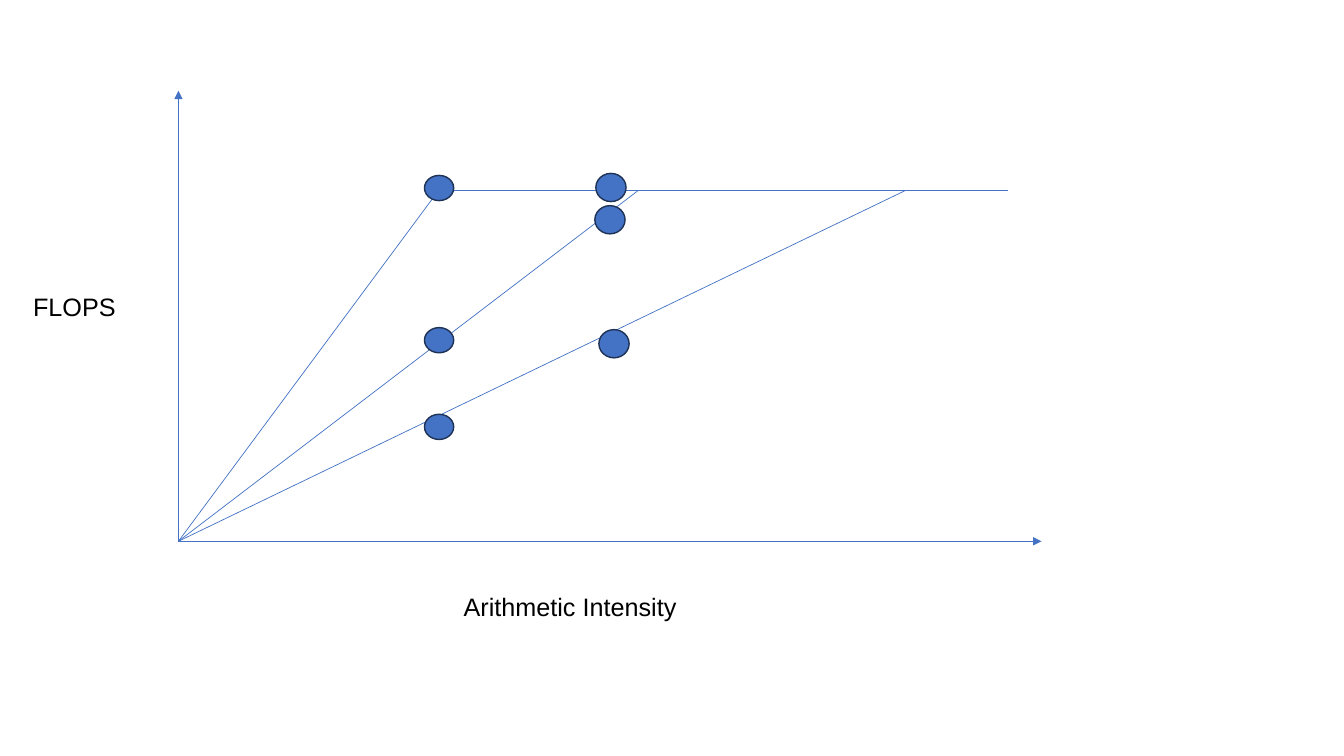
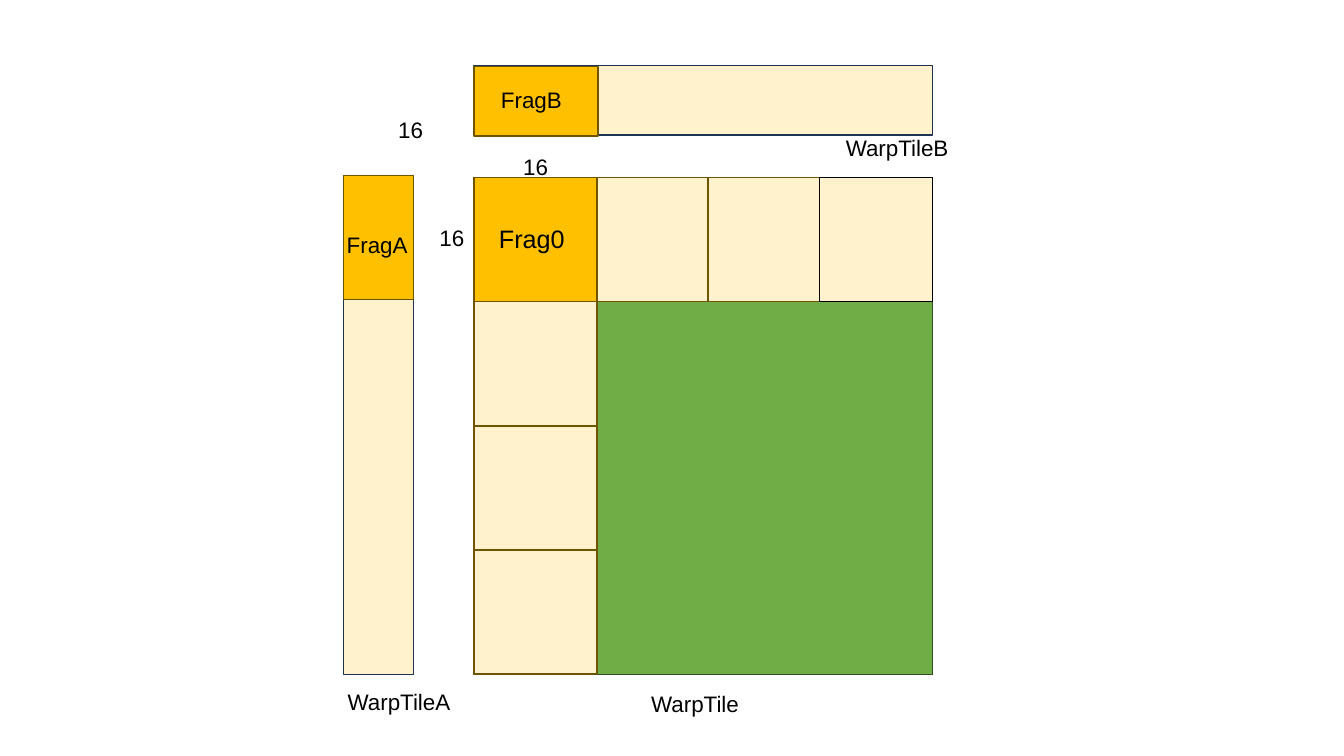
from dataclasses import dataclass

from pptx import Presentation
from pptx.dml.color import RGBColor
from pptx.enum.shapes import MSO_CONNECTOR as Connector, MSO_SHAPE as Preset
from pptx.enum.text import MSO_AUTO_SIZE as AutoSize
from pptx.oxml.ns import qn
from pptx.util import Inches, Pt
from lxml.etree import SubElement


@dataclass(frozen=True)
class Theme:
    font: str = "Arial"
    text: str = "000000"
    blue: str = "4472C4"
    navy: str = "1E3256"
    green: str = "70AD47"
    dark_green: str = "314C1F"
    amber: str = "FFC000"
    cream: str = "FFF2CC"
    brown: str = "705400"
    large: int = 18
    small: int = 16
    thin: float = 0.5
    outline: float = 1


theme = Theme()


def add_label(page, text, left, top, width, height, size=theme.small):
    box = page.shapes.add_textbox(Inches(left), Inches(top), Inches(width), Inches(height))
    frame = box.text_frame
    frame.word_wrap = True
    frame.auto_size = AutoSize.SHAPE_TO_FIT_TEXT
    span = frame.paragraphs[0].add_run()
    span.text = text
    span.font.name = theme.font
    span.font.size = Pt(size)
    span.font.color.rgb = RGBColor.from_string(theme.text)


def add_block(page, left, top, width, height, fill, line, preset=Preset.RECTANGLE):
    block = page.shapes.add_shape(preset, Inches(left), Inches(top), Inches(width), Inches(height))
    block.shadow.inherit = False
    block.fill.solid()
    block.fill.fore_color.rgb = RGBColor.from_string(fill)
    block.line.color.rgb = RGBColor.from_string(line)
    block.line.width = Pt(theme.outline)


deck = Presentation()
deck.slide_width, deck.slide_height = Inches(13.33), Inches(7.5)
blank = deck.slide_layouts[6]

roofline = deck.slides.add_slide(blank)
origin_x, origin_y, roof_y = 1.77, 5.37, 1.89
lines = [
    (origin_x, origin_y, origin_x, 0.9, True),
    (origin_x, origin_y, 10.33, origin_y, True),
    (4.35, roof_y, 10, roof_y, False),
]
lines += [(origin_x, origin_y, ridge_x, roof_y, False) for ridge_x in (4.35, 8.98, 6.33)]
for start_x, start_y, end_x, end_y, is_axis in lines:
    line = roofline.shapes.add_connector(
        Connector.STRAIGHT, Inches(start_x), Inches(start_y), Inches(end_x), Inches(end_y))
    line.line.color.rgb = RGBColor.from_string(theme.blue)
    line.line.width = Pt(theme.thin)
    if is_axis:
        SubElement(line.line._get_or_add_ln(), qn("a:tailEnd"), type="triangle")
    SubElement(line._element.spPr, qn("a:effectLst"))

small_dot, large_dot = (0.29, 0.25), (0.3, 0.28)
dots = [(4.21, top, small_dot) for top in (4.11, 3.25, 1.74)]
dots += [(left, top, large_dot) for left, top in ((5.94, 3.27), (5.9, 2.04), (5.91, 1.72))]
for left, top, (width, height) in dots:
    add_block(roofline, left, top, width, height, theme.blue, theme.navy,
              preset=Preset.FLOWCHART_CONNECTOR)

add_label(roofline, "Arithmetic Intensity", 4.5, 5.82, 2.66, 0.4, size=theme.large)
add_label(roofline, "FLOPS", 0.23, 2.84, 1.32, 0.4, size=theme.large)

tiling = deck.slides.add_slide(blank)
tile_left, tile_top, tile_width, tile_height = 4.7, 1.76, 4.55, 4.93
fragment, strip = 1.23, 0.69
strip_a_left, strip_b_top = 3.41, 0.65

add_block(tiling, tile_left, tile_top, tile_width, tile_height, theme.green, theme.dark_green)
add_block(tiling, tile_left, tile_top, fragment, fragment, theme.amber, theme.brown)
for left, width, line in ((5.92, 1.1, theme.brown), (7.02, 1.12, theme.brown),
                          (8.13, 1.12, theme.text)):
    add_block(tiling, left, tile_top, width, fragment, theme.cream, line)
for row in range(1, 4):
    add_block(tiling, tile_left, tile_top + row * tile_height / 4, 1.22, fragment,
              theme.cream, theme.brown)

add_block(tiling, strip_a_left, tile_top, strip, tile_height, theme.cream, theme.navy)
add_block(tiling, tile_left, strip_b_top, tile_width, strip, theme.cream, theme.navy)
add_block(tiling, strip_a_left, 1.74, strip, fragment, theme.amber, theme.brown)
add_block(tiling, tile_left, 0.66, fragment, strip, theme.amber, theme.brown)

add_label(tiling, "Frag0", 4.85, 2.17, 1.41, 0.4, size=theme.large)
for text, left, top, width in (
    ("WarpTile", 6.36, 6.8, 1.22),
    ("WarpTileA", 3.35, 6.78, 1.49),
    ("WarpTileB", 8.29, 1.28, 1.49),
    ("FragA", 3.34, 2.24, 0.82),
    ("FragB", 4.87, 0.81, 1.41),
    ("16", 4.26, 2.17, 0.49),
    ("16", 5.09, 1.47, 0.49),
    ("16", 3.85, 1.1, 0.49),
):
    add_label(tiling, text, left, top, width, 0.37)

deck.save("out.pptx")
